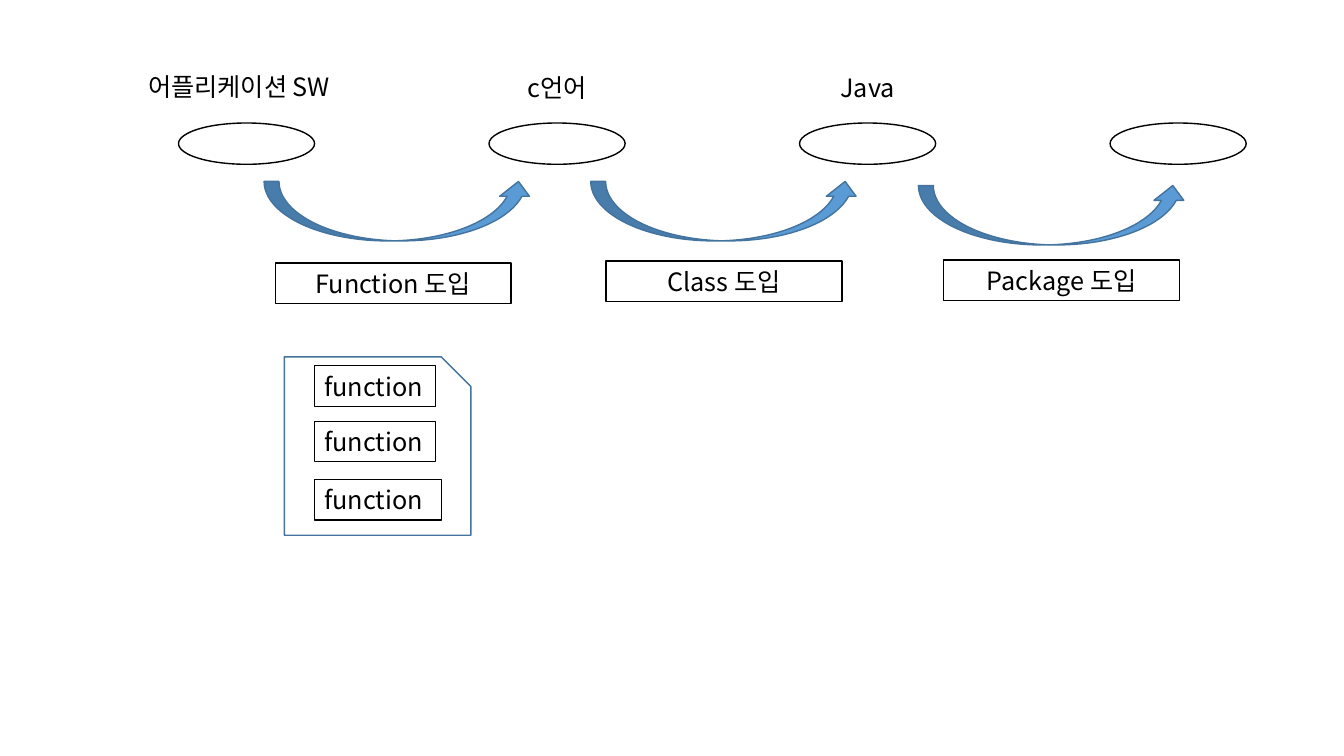
from lxml.etree import SubElement
from pptx import Presentation
from pptx.dml.color import RGBColor
from pptx.enum.shapes import MSO_SHAPE
from pptx.enum.text import MSO_ANCHOR, MSO_AUTO_SIZE, PP_ALIGN
from pptx.oxml.ns import qn
from pptx.util import Inches, Pt

BLACK = RGBColor(0x00, 0x00, 0x00)
WHITE = RGBColor(0xFF, 0xFF, 0xFF)
BLUE = RGBColor(0x5B, 0x9B, 0xD5)
DARK_BLUE = RGBColor(0x43, 0x73, 0x9E)


class SlideBuilder:
    """Draws styled elements on the current slide."""

    font_name = "Noto Sans CJK KR"
    font_format = {"name": font_name, "size": Pt(18)}
    frame_format = {
        "word_wrap": True,
        "auto_size": MSO_AUTO_SIZE.SHAPE_TO_FIT_TEXT,
        "vertical_anchor": MSO_ANCHOR.TOP,
        "margin_left": Inches(0.1),
        "margin_right": Inches(0.1),
        "margin_top": Inches(0.05),
        "margin_bottom": Inches(0.05),
    }

    def __init__(self, slide):
        self.slide = slide

    def apply(self, target, values):
        for name, value in values.items():
            setattr(target, name, value)

    def add_text(self, shape, text, alignment):
        frame = shape.text_frame
        self.apply(frame, self.frame_format)
        paragraph = frame.paragraphs[0]
        paragraph.alignment = alignment
        run = paragraph.add_run()
        run.text = text
        self.apply(run.font, self.font_format)
        run.font.color.rgb = BLACK
        properties = run._r.get_or_add_rPr()
        SubElement(properties, qn("a:ea"), typeface=self.font_name)

    def label(self, left, top, text, alignment):
        box = self.slide.shapes.add_textbox(
            Inches(left), Inches(top), Inches(2.19), Inches(0.4))
        self.add_text(box, text, alignment)

    def outline(self, kind, left, top, width, height, fill=None, line=BLACK, weight=1):
        shape = self.slide.shapes.add_shape(
            kind, Inches(left), Inches(top), Inches(width), Inches(height))
        shape.shadow.inherit = False
        if fill is None:
            shape.fill.background()
        else:
            shape.fill.solid()
            shape.fill.fore_color.rgb = fill
        shape.line.color.rgb = line
        shape.line.width = Pt(weight)
        return shape

    def box(self, left, top, width, text, alignment, fill=None, weight=1):
        shape = self.outline(MSO_SHAPE.RECTANGLE, left, top, width, 0.4, fill, weight=weight)
        self.add_text(shape, text, alignment)

    def arrow(self, left, top):
        self.outline(MSO_SHAPE.CURVED_UP_ARROW, left, top, 2.67, 0.59, BLUE, DARK_BLUE)


def main():
    presentation = Presentation()
    presentation.slide_width = Inches(13.33)
    presentation.slide_height = Inches(7.5)
    builder = SlideBuilder(presentation.slides.add_slide(presentation.slide_layouts[6]))

    for stage in range(4):
        builder.outline(MSO_SHAPE.OVAL, 1.77 + stage * 3.08, 1.22, 1.35, 0.41, WHITE)

    for left, top, text, alignment in (
        (1.37, 0.66, "어플리케이션 SW", PP_ALIGN.LEFT),
        (4.43, 0.67, "c언어", PP_ALIGN.CENTER),
        (7.51, 0.67, "Java", PP_ALIGN.CENTER),
    ):
        builder.label(left, top, text, alignment)

    for arrow_left, arrow_top, box_left, box_top, concept in (
        (2.62, 1.8, 2.73, 2.61, "Function"),
        (5.86, 1.8, 6.01, 2.59, "Class"),
        (9.11, 1.84, 9.36, 2.58, "Package"),
    ):
        builder.arrow(arrow_left, arrow_top)
        builder.box(box_left, box_top, 2.34, f"{concept} 도입", PP_ALIGN.CENTER, WHITE)

    builder.outline(MSO_SHAPE.SNIP_1_RECTANGLE, 2.82, 3.54, 1.85, 1.77, line=DARK_BLUE)
    for top, width, weight in ((3.63, 1.2, 0), (4.18, 1.2, 1), (4.76, 1.26, 1)):
        builder.box(3.12, top, width, "function", PP_ALIGN.LEFT, weight=weight)

    presentation.save("out.pptx")


if __name__ == "__main__":
    main()
